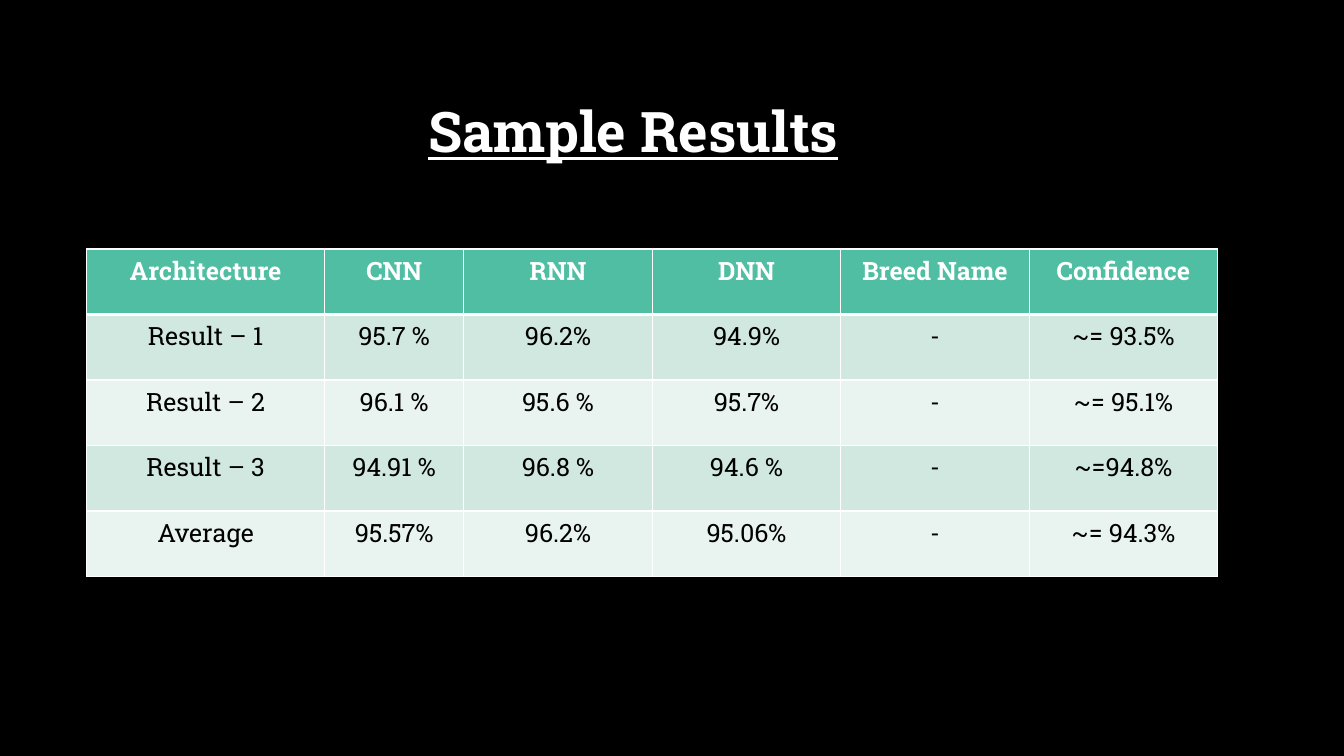
from dataclasses import dataclass

from lxml.etree import SubElement
from pptx import Presentation
from pptx.dml.color import RGBColor
from pptx.enum.text import MSO_ANCHOR, MSO_AUTO_SIZE, PP_ALIGN
from pptx.oxml.ns import qn
from pptx.util import Emu, Pt

EMU_PER_PX = 9144  # 100 px to the inch
FONT = "Roboto Slab"
WHITE, BLACK = "FFFFFF", "000000"
HEADER_GREEN = "50BEA3"
BANDS = ("D0E8E0", "E9F4F0")
THIN, THICK = 1, 3

COLUMN_WIDTHS = (236, 138, 187, 187, 187, 187)
ROW_HEIGHT = 65
RESULTS = (
    ("Architecture", "CNN", "RNN", "DNN", "Breed Name", "Confidence"),
    ("Result – 1", "95.7 %", "96.2%", "94.9%", "-", "~= 93.5%"),
    ("Result – 2", "96.1 %", "95.6 %", "95.7%", "-", "~= 95.1%"),
    ("Result – 3", "94.91 %", "96.8 %", "94.6 %", "-", "~=94.8%"),
    ("Average", "95.57%", "96.2%", "95.06%", "-", "~= 94.3%"),
)


@dataclass(frozen=True)
class RowStyle:
    fill: str
    color: str
    bold: bool
    top: int = THIN
    bottom: int = THIN


def px(length: int) -> Emu:
    return Emu(length * EMU_PER_PX)


def rgb(value: str) -> RGBColor:
    return RGBColor.from_string(value)


def write(frame, text: str, color: str, **font_format) -> None:
    paragraph = frame.paragraphs[0]
    paragraph.alignment = PP_ALIGN.CENTER
    run = paragraph.add_run()
    run.text = text
    run.font.color.rgb = rgb(color)
    for name, value in {"name": FONT, **font_format}.items():
        setattr(run.font, name, value)


def add_borders(cell, style: RowStyle) -> None:
    properties = cell._tc.get_or_add_tcPr()
    widths = {"lnL": THIN, "lnR": THIN, "lnT": style.top, "lnB": style.bottom}
    for side, width in widths.items():
        line = SubElement(properties, qn(f"a:{side}"), w=str(Pt(width)))
        fill = SubElement(line, qn("a:solidFill"))
        SubElement(fill, qn("a:srgbClr"), val=WHITE)


def row_style(index: int) -> RowStyle:
    if index == 0:
        return RowStyle(HEADER_GREEN, WHITE, True, bottom=THICK)
    return RowStyle(BANDS[(index - 1) % 2], BLACK, False,
                    top=THICK if index == 1 else THIN)


def add_results(slide) -> None:
    results = slide.shapes.add_table(
        len(RESULTS), len(COLUMN_WIDTHS), px(86), px(247),
        px(sum(COLUMN_WIDTHS)), px(ROW_HEIGHT * len(RESULTS))).table
    for column, width in zip(results.columns, COLUMN_WIDTHS):
        column.width = px(width)
    for index, values in enumerate(RESULTS):
        results.rows[index].height = px(ROW_HEIGHT)
        style = row_style(index)
        for cell, value in zip(results.rows[index].cells, values):
            add_borders(cell, style)
            cell.fill.solid()
            cell.fill.fore_color.rgb = rgb(style.fill)
            write(cell.text_frame, value, style.color, size=Pt(18), bold=style.bold)


def add_heading(slide) -> None:
    heading = slide.shapes.title
    place = {"left": 299, "top": 91, "width": 658, "height": 77}
    for name, value in place.items():
        setattr(heading, name, px(value))
    frame_format = {"word_wrap": True, "auto_size": MSO_AUTO_SIZE.NONE,
                    "vertical_anchor": MSO_ANCHOR.MIDDLE}
    for name, value in frame_format.items():
        setattr(heading.text_frame, name, value)
    write(heading.text_frame, "Sample Results", WHITE,
          size=Pt(40), bold=True, underline=True)


def main() -> None:
    presentation = Presentation()
    presentation.slide_width, presentation.slide_height = px(1333), px(750)

    # Title Only layout on a black background
    slide = presentation.slides.add_slide(presentation.slide_layouts[5])
    slide.background.fill.solid()
    slide.background.fill.fore_color.rgb = rgb(BLACK)

    # Heading and accuracy table
    add_heading(slide)
    add_results(slide)
    presentation.save("out.pptx")


if __name__ == "__main__":
    main()
